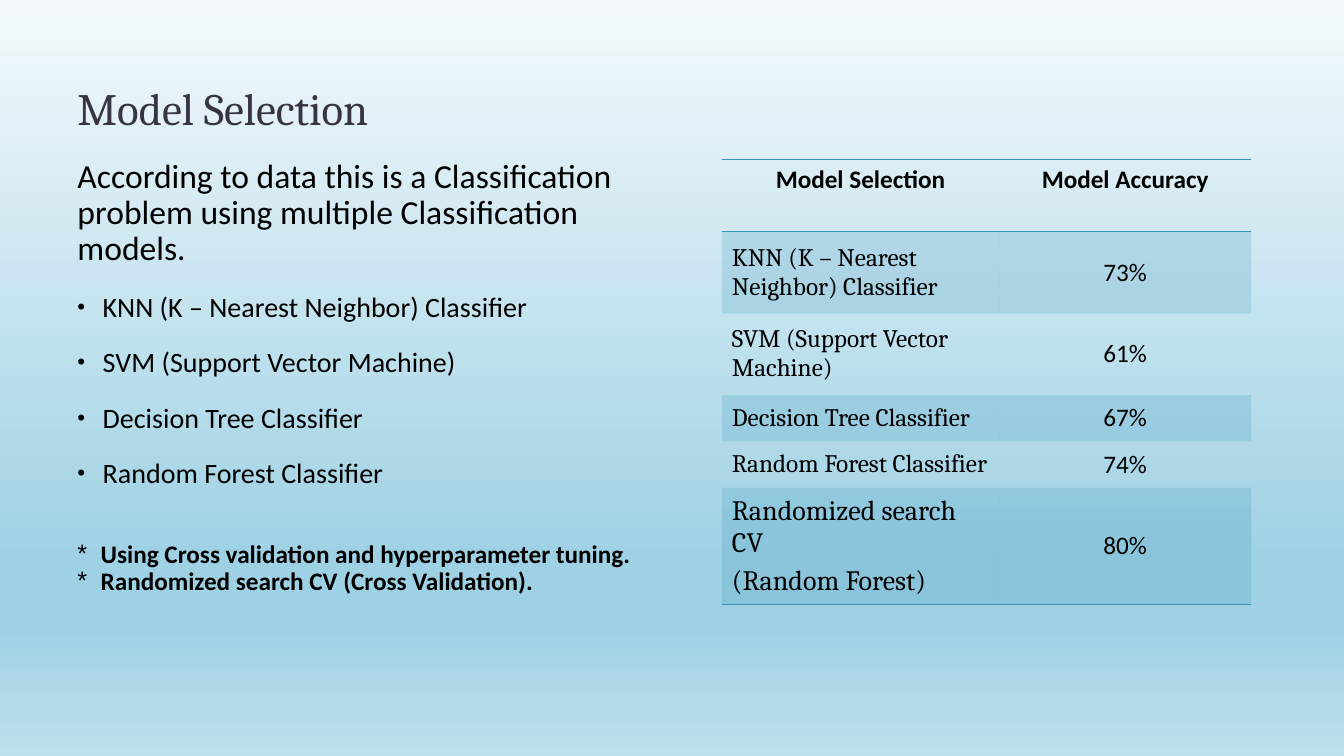
from lxml.etree import SubElement
from pptx import Presentation
from pptx.dml.color import RGBColor
from pptx.enum.text import MSO_ANCHOR as Anchor, PP_ALIGN as Align
from pptx.oxml import parse_xml
from pptx.oxml.ns import nsdecls, qn
from pptx.util import Inches, Pt

COLORS = {"title": "373545", "text": "000000", "accent": "3494BA"}
SKY_STOPS = [(0, "F4FAFC"), (74, "9FD1E4"), (83, "9FD1E4"), (100, "BFE0ED")]
NO_TABLE_STYLE = "{2D5ABB26-0587-4C30-8999-92F81FD0307C}"

INTRO = ("According to data this is a Classification problem "
         "using multiple Classification models.")
MODELS = ["KNN (K – Nearest Neighbor) Classifier", "SVM (Support Vector Machine)",
          "Decision Tree Classifier", "Random Forest Classifier"]
NOTES = ["Using Cross validation and hyperparameter tuning.",
         "Randomized search CV (Cross Validation)."]
HEADERS = ["Model Selection", "Model Accuracy"]
ACCURACIES = ["73%", "61%", "67%", "74%", "80%"]
BEST_MODEL = ["Randomized search CV", "(Random Forest)"]
COLUMN_WIDTHS = [2.75, 2.5]
ROW_HEIGHTS = [0.72, 0.81, 0.81, 0.46, 0.46, 0.96]


def add_run(paragraph, text, size, font="Calibri", color="text", bold=False):
    run = paragraph.add_run()
    run.text = text
    run.font.size = Pt(size)
    run.font.name = font
    run.font.bold = bold
    run.font.color.rgb = RGBColor.from_string(COLORS[color])


def next_paragraph(text_frame, first):
    return text_frame.paragraphs[0] if first else text_frame.add_paragraph()


def add_bullet(paragraph, character, indent, percent):
    properties = paragraph._p.get_or_add_pPr()
    properties.set("marL", str(Inches(indent)))
    properties.set("indent", str(-Inches(indent)))
    SubElement(properties, qn("a:buSzPct")).set("val", str(percent * 1000))
    SubElement(properties, qn("a:buFont")).set("typeface", "Arial")
    SubElement(properties, qn("a:buChar")).set("char", character)


def add_text_box(slide, box, anchor=Anchor.TOP):
    text_frame = slide.shapes.add_textbox(*map(Inches, box)).text_frame
    text_frame.word_wrap = True
    text_frame.vertical_anchor = anchor
    return text_frame


def paint_background(slide):
    fill = slide.background.fill
    fill.gradient()
    fill.gradient_angle = 270
    stop_list = slide.background._cSld.find(".//" + qn("a:gsLst"))
    for stop in list(stop_list):
        stop_list.remove(stop)
    for position, color in SKY_STOPS:
        stop = SubElement(stop_list, qn("a:gs"), pos=str(position * 1000))
        SubElement(stop, qn("a:srgbClr"), val=color)


def add_title(slide, box):
    paragraph = add_text_box(slide, box, Anchor.BOTTOM).paragraphs[0]
    paragraph.line_spacing = 0.8
    add_run(paragraph, "Model Selection", 32, "Cambria", "title")


def add_body(slide, box):
    text_frame = add_text_box(slide, box)
    introduction = text_frame.paragraphs[0]
    introduction.line_spacing = 0.9
    add_run(introduction, INTRO, 24)
    for model in MODELS:
        paragraph = text_frame.add_paragraph()
        paragraph.alignment = Align.JUSTIFY
        paragraph.line_spacing = 0.9
        paragraph.space_before = Pt(18)
        add_bullet(paragraph, "•", 0.25, 80)
        add_run(paragraph, model, 20)


def add_notes_block(slide, box):
    text_frame = add_text_box(slide, box)
    for index, note in enumerate(NOTES):
        paragraph = next_paragraph(text_frame, index == 0)
        paragraph.line_spacing = 0.9
        add_bullet(paragraph, "*", 0.23, 100)
        add_run(paragraph, note, 18, bold=True)


def shade_cell(cell):
    cell.fill.solid()
    cell.fill.fore_color.rgb = RGBColor.from_string(COLORS["accent"])
    color = cell._tc.tcPr.find(".//" + qn("a:srgbClr"))
    SubElement(color, qn("a:alpha")).set("val", "20000")


def add_borders(cell, sides):
    properties = cell._tc.get_or_add_tcPr()
    for index, side in enumerate(sides):
        properties.insert(index, parse_xml(
            f'<a:ln{side} {nsdecls("a")} w="{Pt(1)}"><a:solidFill>'
            f'<a:srgbClr val="{COLORS["accent"]}"/></a:solidFill></a:ln{side}>'))


def fill_cell(cell, lines, size, font="Calibri", bold=False, centered=True):
    for index, line in enumerate(lines):
        paragraph = next_paragraph(cell.text_frame, index == 0)
        paragraph.alignment = Align.CENTER if centered else Align.LEFT
        paragraph.space_before = Pt(4 if index else 0)
        add_run(paragraph, line, size, font, bold=bold)


def add_accuracy_table(slide, box):
    frame = slide.shapes.add_table(len(ROW_HEIGHTS), len(COLUMN_WIDTHS), *map(Inches, box))
    table = frame.table
    table.first_row = table.horz_banding = False
    table._tbl.tblPr.find(qn("a:tableStyleId")).text = NO_TABLE_STYLE
    for column, width in zip(table.columns, COLUMN_WIDTHS):
        column.width = Inches(width)
    for row, height in zip(table.rows, ROW_HEIGHTS):
        row.height = Inches(height)

    # Header row
    for column, header in enumerate(HEADERS):
        cell = table.cell(0, column)
        cell.fill.background()
        fill_cell(cell, [header], 18, bold=True)
        add_borders(cell, "TB")

    # One row per model, every other one shaded
    names = [[model] for model in MODELS] + [BEST_MODEL]
    for row, (name, accuracy) in enumerate(zip(names, ACCURACIES), start=1):
        name_cell, accuracy_cell = table.rows[row].cells
        name_size = 20 if name is BEST_MODEL else 18
        fill_cell(name_cell, name, name_size, "Cambria", centered=False)
        fill_cell(accuracy_cell, [accuracy], 18)
        for cell in (name_cell, accuracy_cell):
            cell.vertical_anchor = Anchor.MIDDLE
            if row % 2:
                shade_cell(cell)
            else:
                cell.fill.background()
            if name is BEST_MODEL:
                add_borders(cell, "B")


def build_model_slide(presentation):
    slide = presentation.slides.add_slide(presentation.slide_layouts[6])
    paint_background(slide)
    add_title(slide, (0.67, 0.21, 12, 1.17))
    add_body(slide, (0.67, 1.53, 5.92, 3.72))
    add_accuracy_table(slide, (7.16, 1.58, 5.25, 4.21))
    add_notes_block(slide, (0.67, 5.32, 5.92, 0.65))


presentation = Presentation()
presentation.slide_width = Inches(13.33)
presentation.slide_height = Inches(7.5)
build_model_slide(presentation)
presentation.save("out.pptx")
